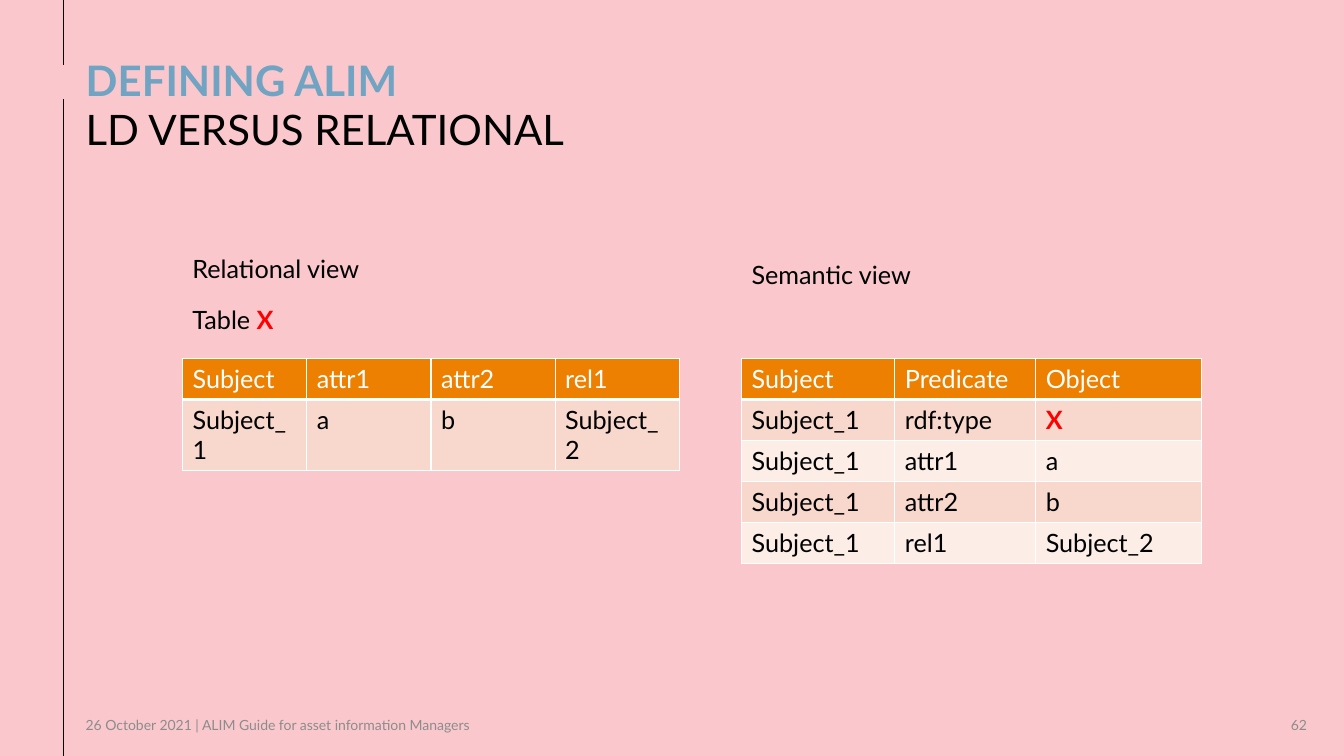
from lxml import etree
from pptx import Presentation
from pptx.dml.color import RGBColor
from pptx.enum.shapes import MSO_CONNECTOR
from pptx.enum.text import MSO_ANCHOR
from pptx.oxml.ns import qn
from pptx.util import Cm, Pt

STRAIGHT = MSO_CONNECTOR.STRAIGHT
TOP, MIDDLE = MSO_ANCHOR.TOP, MSO_ANCHOR.MIDDLE
FONT = "Lato"
COLORS = {
    "background": "FAC8CC", "title": "71A4C3", "text": "000000", "footer": "8C8C8C",
    "accent": "FF0000", "white": "FFFFFF", "header": "ED8000",
    "odd_row": "F8D8CC", "even_row": "FCEDE7",
}


def add_run(p, text, size, color, bold=False):
    r = p.add_run()
    r.text = text
    r.font.name = FONT
    r.font.size = Pt(size)
    r.font.bold = bold
    r.font.color.rgb = RGBColor.from_string(COLORS[color])


def set_cell_borders(cell, bottom_width):
    """Draw white borders; call before the fill, which must follow them in the XML."""
    tc_pr = cell._tc.get_or_add_tcPr()
    for side, width in (("L", 1), ("R", 1), ("T", 1), ("B", bottom_width)):
        ln = etree.SubElement(tc_pr, qn(f"a:ln{side}"), w=str(Pt(width)))
        fill = etree.SubElement(ln, qn("a:solidFill"))
        etree.SubElement(fill, qn("a:srgbClr"), val=COLORS["white"])


prs = Presentation()
prs.slide_width, prs.slide_height = Cm(33.87), Cm(19.05)
s = prs.slides.add_slide(prs.slide_layouts[5])
s.background.fill.solid()
s.background.fill.fore_color.rgb = RGBColor.from_string(COLORS["background"])

# Margin line, broken beside the title
for start, end in ((0, 1.65), (2.49, 19.05)):
    line = s.shapes.add_connector(STRAIGHT, Cm(1.6), Cm(start), Cm(1.6), Cm(end))
    line.line.color.rgb = RGBColor.from_string(COLORS["text"])
    line.line.width = Pt(0.57)
    etree.SubElement(line._element.spPr, qn("a:effectLst"))

# Title
title = s.shapes.title
title.left, title.top, title.width, title.height = Cm(2.16), Cm(1.73), Cm(30.07), Cm(0.74)
tf = title.text_frame
tf.word_wrap = True
tf.vertical_anchor = MIDDLE
tf.margin_left = tf.margin_top = tf.margin_right = tf.margin_bottom = 0
p = tf.paragraphs[0]
p.alignment = 1
p.line_spacing = 0.9
add_run(p, "DEFINING ALIM", 30, "title", True)

# Text boxes: left, top, width, height, inset flag, anchor, size, runs
texts = (
    (2.16, 2.62, 30.07, 0.97, False, TOP, 30, [("LD VERSUS RELATIONAL", "text", False)]),
    (4.6, 6.27, 12.52, 1.03, True, TOP, 18, [("Relational view", "text", False)]),
    (4.6, 7.54, 8.15, 1.03, True, TOP, 18, [("Table ", "text", False), ("X", "accent", True)]),
    (18.69, 6.4, 14.78, 1.03, True, TOP, 18, [("Semantic view", "text", False)]),
    (2.16, 18.01, 14.78, 0.51, False, MIDDLE, 10,
     [("26 October 2021 | ALIM Guide for asset information Managers", "footer", False)]),
    (32.28, 18.01, 1.17, 0.51, True, MIDDLE, 10, [("62", "footer", False)]),
)
for left, top, width, height, inset, anchor, size, runs in texts:
    tf = s.shapes.add_textbox(Cm(left), Cm(top), Cm(width), Cm(height)).text_frame
    tf.word_wrap = True
    tf.vertical_anchor = anchor
    if not inset:
        tf.margin_left = tf.margin_top = tf.margin_right = tf.margin_bottom = 0
    for text, color, bold in runs:
        add_run(tf.paragraphs[0], text, size, color, bold)

# Relational and semantic tables
ROW_HEIGHT = 1.03
tables = (
    (4.6, [3.13] * 4, [
        ["Subject", "attr1", "attr2", "rel1"],
        ["Subject_1", "a", "b", "Subject_2"],
    ]),
    (18.69, [3.86, 3.55, 4.17], [
        ["Subject", "Predicate", "Object"],
        ["Subject_1", "rdf:type", "X"],
        ["Subject_1", "attr1", "a"],
        ["Subject_1", "attr2", "b"],
        ["Subject_1", "rel1", "Subject_2"],
    ]),
)
for left, widths, rows in tables:
    table = s.shapes.add_table(len(rows), len(widths), Cm(left), Cm(9.04),
                               Cm(sum(widths)), Cm(ROW_HEIGHT * len(rows))).table
    for column, width in zip(table.columns, widths):
        column.width = Cm(width)
    for i, values in enumerate(rows):
        table.rows[i].height = Cm(ROW_HEIGHT)
        is_header = i == 0
        fill = "header" if is_header else "odd_row" if i % 2 else "even_row"
        for j, value in enumerate(values):
            cell = table.cell(i, j)
            set_cell_borders(cell, 3 if is_header else 1)
            cell.fill.solid()
            cell.fill.fore_color.rgb = RGBColor.from_string(COLORS[fill])
            is_class = value == "X"
            color = "white" if is_header else "accent" if is_class else "text"
            add_run(cell.text_frame.paragraphs[0], value, 18, color, is_class)

prs.save("out.pptx")
